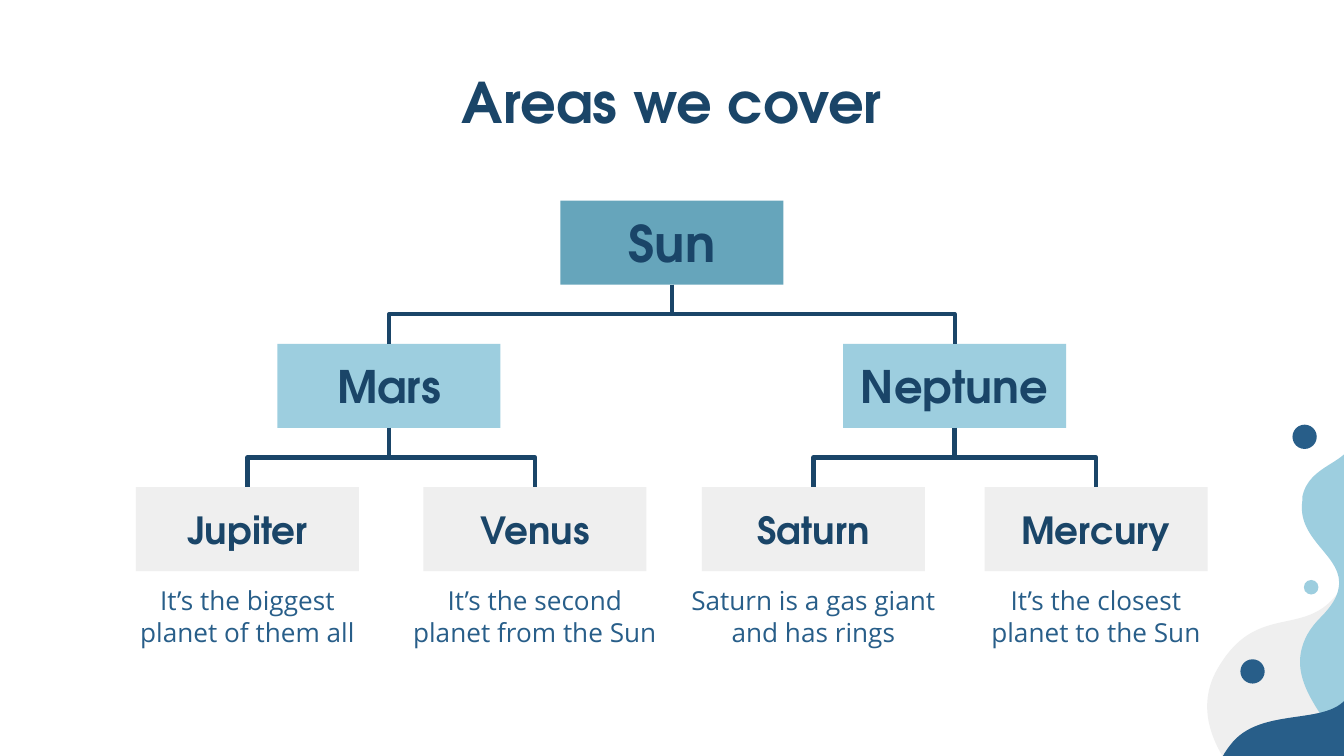
from pptx import Presentation
from pptx.dml.color import RGBColor
from pptx.enum.shapes import MSO_CONNECTOR as Connector, MSO_SHAPE as Shape
from pptx.enum.text import MSO_ANCHOR as Anchor, PP_ALIGN as Align
from pptx.oxml.ns import qn
from pptx.util import Pt
from lxml import etree

COLORS = {"navy": "1A4568", "blue": "285E89", "teal": "66A5BB",
          "sky": "9DCEDF", "gray": "EFEFEF"}
HEADING, BODY = "TeX Gyre Adventor", "Open Sans"
BOX_WIDTH, BOX_HEIGHT = 119.5, 45
TOP, ROW_STEP = 107.5, 76.75

# Outlines as a start point followed by lines (x, y) and curves (six numbers)
WAVES = [
    ("gray", (795, 279), [
        (795, 279, 740.2, 246.2, 728.6, 290.2),
        (711.4, 355, 679, 313.9, 653, 357.1),
        (628.6, 396.7, 683.3, 435.6, 683.3, 435.6)]),
    ("sky", (697.7, 266.4), [
        (697.7, 268.6),
        (694.8, 290.2, 720.7, 298.1, 717.1, 315.4),
        (716.4, 319.7, 713.5, 324.7, 707.8, 330.5),
        (701.3, 337, 698.4, 342.7, 697, 349.2),
        (691.9, 375.1, 725.8, 396, 721.4, 416.9),
        (721.4, 418.3, 721.4, 419, 720.7, 419.8),
        (711.4, 446.4, 684, 432.7, 667.4, 470.9),
        (743.8, 486), (792.7, 242.6), (725, 229), (725, 235.4),
        (722.2, 249.1, 701.3, 248.4, 697.7, 266.4)]),
    ("blue", (654.5, 406.8), [
        (655.2, 404.6, 656.6, 402.5, 658.8, 399.6),
        (675.4, 376.6, 715.7, 391, 723.6, 370.1),
        (725, 367.2, 725, 364.3, 725, 360),
        (724.3, 346.3, 725.8, 335.5, 728.6, 327.6),
        (740.9, 295.9, 776.9, 299.5, 785.5, 277.2),
        (786.2, 276.5, 786.2, 275, 786.2, 274.3),
        (793.4, 242.6, 764.6, 240.5, 772.6, 195.1),
        (828.7, 216), (726.5, 481), (677.5, 462.2),
        (676.8, 445.7, 645.8, 429.8, 654.5, 406.8)]),
]
# Colour, centre x, centre y, diameter
DOTS = [("blue", 698.9, 234, 13), ("sky", 702.4, 314.6, 7.8),
        ("blue", 671, 359.7, 13)]
# Name, centre x, level, parent
PLANETS = [
    ("Sun", 360, 0, None),
    ("Mars", 208.4, 1, "Sun"), ("Neptune", 511.4, 1, "Sun"),
    ("Jupiter", 132.6, 2, "Mars"), ("Venus", 286.6, 2, "Mars"),
    ("Saturn", 435.8, 2, "Neptune"), ("Mercury", 587.2, 2, "Neptune"),
]
LEVELS = [("teal", 27), ("sky", 24), ("gray", 20)]
CAPTIONS = {
    "Jupiter": "It’s the biggest planet of them all",
    "Venus": "It’s the second planet from the Sun",
    "Saturn": "Saturn is a gas giant and has rings",
    "Mercury": "It’s the closest planet to the Sun",
}


class Painter:
    def __init__(self, slide):
        self.shapes = slide.shapes

    def rgb(self, name):
        return RGBColor.from_string(COLORS[name])

    def paint(self, shape, color):
        shape.shadow.inherit = False
        shape.fill.solid()
        shape.fill.fore_color.rgb = self.rgb(color)
        shape.line.fill.background()
        return shape

    def set_text(self, shape, text, size, font=HEADING, color="navy",
                 bold=True, anchor=Anchor.TOP):
        frame = shape.text_frame
        frame.word_wrap = True
        frame.vertical_anchor = anchor
        frame.margin_left = frame.margin_right = Pt(7.2)
        frame.margin_top = frame.margin_bottom = Pt(7.2)
        paragraph = frame.paragraphs[0]
        paragraph.text = text
        paragraph.alignment = Align.CENTER
        paragraph.font.name, paragraph.font.size = font, Pt(size)
        paragraph.font.bold = bold
        paragraph.font.color.rgb = self.rgb(color)

    def text(self, left, top, width, height, text, size, **style):
        box = self.shapes.add_textbox(Pt(left), Pt(top), Pt(width), Pt(height))
        self.set_text(box, text, size, **style)

    def box(self, center, top, text, color, size):
        shape = self.shapes.add_shape(
            Shape.RECTANGLE, Pt(center - BOX_WIDTH / 2), Pt(top),
            Pt(BOX_WIDTH), Pt(BOX_HEIGHT))
        self.set_text(self.paint(shape, color), text, size, anchor=Anchor.MIDDLE)
        return shape

    def dot(self, color, x, y, size):
        shape = self.shapes.add_shape(
            Shape.OVAL, Pt(x - size / 2), Pt(y - size / 2), Pt(size), Pt(size))
        self.paint(shape, color)

    def wave(self, color, start, segments):
        def tenths(x, y):
            return round(x * 10), round(y * 10)

        builder = self.shapes.build_freeform(*tenths(*start), scale=Pt(0.1))
        points = [tenths(*segment[i:i + 2]) for segment in segments
                  for i in range(0, len(segment), 2)]
        builder.add_line_segments(points, close=True)
        shape = self.paint(builder.convert_to_shape(), color)
        # Merge each curve's three points into one Bézier segment
        steps = iter(list(shape._element.iter(qn("a:lnTo"))))
        for segment in segments:
            group = [next(steps) for _ in range(len(segment) // 2)]
            if len(group) == 3:
                curve = etree.Element(qn("a:cubicBezTo"))
                group[0].addprevious(curve)
                for step in group:
                    curve.append(step[0])
                    step.getparent().remove(step)

    def branch(self, parent, child):
        connector = self.shapes.add_connector(Connector.ELBOW, 0, 0, 0, 0)
        connector.begin_connect(parent, 2)
        connector.end_connect(child, 0)
        connector.line.color.rgb = self.rgb("navy")
        connector.line.width = Pt(2.25)
        properties = connector._element.spPr
        etree.SubElement(properties, qn("a:effectLst"))
        # Turn the elbow so that it leaves downwards
        start, end = (s.left + s.width // 2 for s in (parent, child))
        bottom = parent.top + parent.height
        drop, span = child.top - bottom, abs(end - start)
        connector.left = (start + end - drop) // 2
        connector.top = (bottom + child.top - span) // 2
        connector.width, connector.height = drop, span
        to_right = end > start
        frame = properties.get_or_add_xfrm()
        frame.set("rot", "16200000" if to_right else "5400000")
        frame.set("flipH", "1" if to_right else "0")
        frame.set("flipV", "0")


def main():
    presentation = Presentation()
    presentation.slide_width, presentation.slide_height = Pt(720), Pt(405)
    painter = Painter(presentation.slides.add_slide(presentation.slide_layouts[6]))

    # Corner decoration
    for wave in WAVES:
        painter.wave(*wave)
    for dot in DOTS:
        painter.dot(*dot)

    # Title
    painter.text(42.5, 28.8, 635, 45.4, "Areas we cover", 30)

    # Planet tree with captions under the lowest row
    boxes = {}
    for name, center, level, parent in PLANETS:
        top = TOP + level * ROW_STEP
        boxes[name] = painter.box(center, top, name, *LEVELS[level])
        if parent:
            painter.branch(boxes[parent], boxes[name])
        if name in CAPTIONS:
            painter.text(center - 74.5, top + BOX_HEIGHT, 149, 37.5,
                         CAPTIONS[name], 14, font=BODY, color="blue", bold=False)

    presentation.save("out.pptx")


if __name__ == "__main__":
    main()
